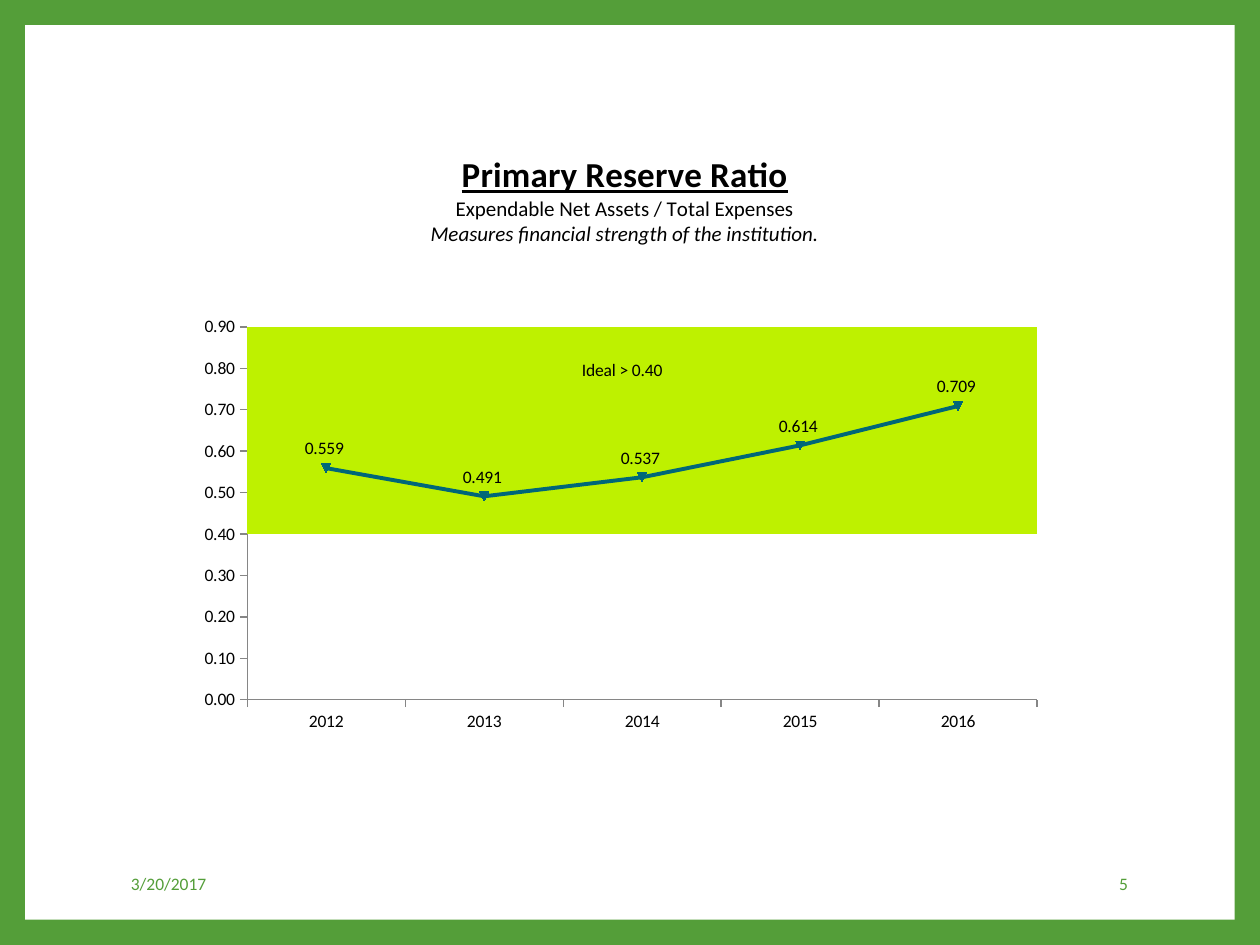
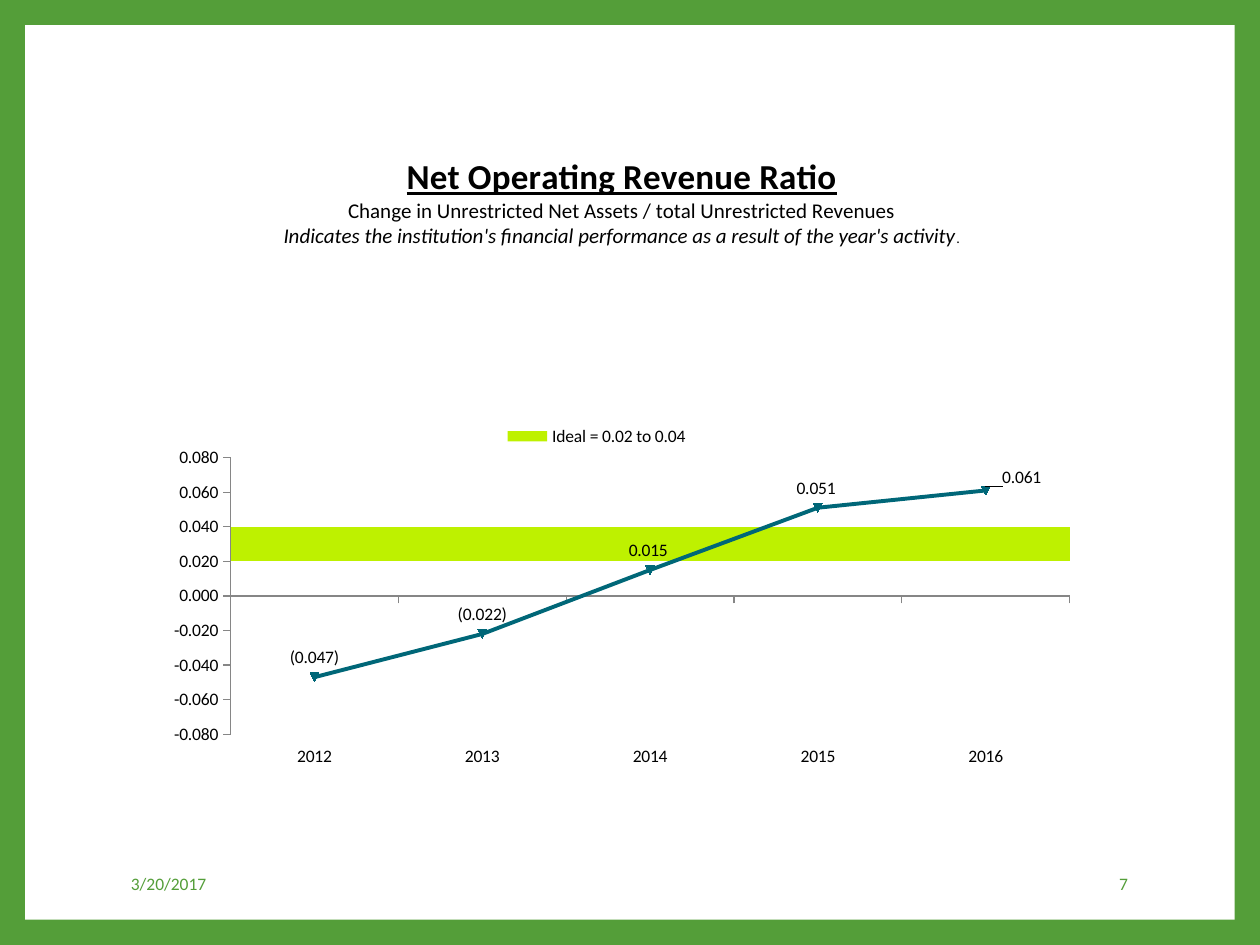
from dataclasses import dataclass

from pptx import Presentation
from pptx.chart.chart import Chart
from pptx.chart.data import CategoryChartData as Data
from pptx.dml.color import RGBColor as Rgb
from pptx.enum.chart import XL_CHART_TYPE as Kind
from pptx.enum.chart import XL_LABEL_POSITION as Spot
from pptx.enum.chart import XL_LEGEND_POSITION as Side
from pptx.enum.chart import XL_MARKER_STYLE as Mark
from pptx.enum.chart import XL_TICK_LABEL_POSITION as Tick
from pptx.enum.chart import XL_TICK_MARK as Dash
from pptx.enum.shapes import MSO_SHAPE as Preset
from pptx.enum.text import MSO_ANCHOR as Anchor
from pptx.enum.text import PP_ALIGN as Align
from pptx.oxml import parse_xml
from pptx.oxml.ns import nsdecls
from pptx.slide import Slide
from pptx.util import Inches, Pt

COLORS = {
    "green": "549E39",
    "white": "FFFFFF",
    "black": "000000",
    "band": "BEF100",
    "line": "006778",
    "axis": "868686",
}
FONT = "Calibri"
YEARS = ["2012", "2013", "2014", "2015", "2016"]
DATE = "3/20/2017"


@dataclass
class Ratio:
    """One ratio slide; title, legend and plot are shares of the chart."""
    page: int
    name: str
    basis: str
    aim: str
    end: str
    box: tuple
    values: list
    ideal: str
    floor: float
    depth: float
    scale: tuple
    axis_fmt: str
    title: tuple
    legend: tuple
    plot: tuple
    shift: tuple = ()


RATIOS = [
    Ratio(
        page=5,
        name="Primary Reserve Ratio",
        basis="Expendable Net Assets / Total Expenses",
        aim="Measures financial strength of the institution.",
        end="",
        box=(1.45, 0.92, 6.92, 5),
        values=[0.559, 0.491, 0.537, 0.614, 0.709],
        ideal="Ideal > 0.40", floor=0.4, depth=0.5,
        scale=(0, 0.9, 0.1), axis_fmt="0.00",
        title=(0.28, 0.05), legend=(0.4, 0.38),
        plot=(0.074, 0.335, 0.906, 0.592),
    ),
    Ratio(
        page=7,
        name="Net Operating Revenue Ratio",
        basis="Change in Unrestricted Net Assets / total Unrestricted Revenues",
        aim="Indicates the institution's financial performance "
            "as a result of the year's activity",
        end=".",
        box=(1.17, 0.92, 7.5, 5.33),
        values=[-0.047, -0.022, 0.015, 0.051, 0.061],
        ideal="Ideal = 0.02 to 0.04", floor=0.02, depth=0.02,
        scale=(-0.08, 0.08, 0.02), axis_fmt="0.000",
        title=(0.14, 0.05), legend=(0.375, 0.455),
        plot=(0.088, 0.509, 0.888, 0.412),
        shift=(0.04, 0.01),
    ),
]


def tint(key: str) -> Rgb:
    return Rgb.from_string(COLORS[key])


def write(para, text: str, size: float = 10, color: str = "black",
          align=None, bold: bool = False, italic: bool = False,
          under: bool = False) -> None:
    """Add a run to a paragraph."""
    run = para.add_run()
    run.text = text
    font = run.font
    font.name, font.size = FONT, Pt(size)
    font.bold, font.italic, font.underline = bold, italic, under
    font.color.rgb = tint(color)
    if align is not None:
        para.alignment = align


def frame(slide: Slide) -> None:
    """Green border around a white page."""
    back = slide.background.fill
    back.solid()
    back.fore_color.rgb = tint("green")
    page = slide.shapes.add_shape(
        Preset.RECTANGLE, Inches(0.2), Inches(0.2), Inches(9.6), Inches(7.1))
    page.shadow.inherit = False
    page.fill.solid()
    page.fill.fore_color.rgb = tint("white")
    page.line.fill.background()


def footer(slide: Slide, page: int) -> None:
    for left, width, text, align in (
            (0.94, 1.91, DATE, Align.LEFT),
            (7.65, 1.4, str(page), Align.RIGHT)):
        box = slide.shapes.add_textbox(
            Inches(left), Inches(6.81), Inches(width), Inches(0.4))
        body = box.text_frame
        body.word_wrap = True
        body.vertical_anchor = Anchor.MIDDLE
        write(body.paragraphs[0], text, color="green", align=align)


def place(node, index: int, spot: tuple, modes: tuple = ()) -> None:
    """Give a chart part a manual layout as its child at index."""
    for old in node.xpath("./c:layout"):
        node.remove(old)
    tags = [f'<c:{tag} val="{val}"/>' for tag, val in modes]
    tags += [f'<c:{tag} val="{val}"/>' for tag, val in zip("xywh", spot)]
    node.insert(index, parse_xml(
        f'<c:layout {nsdecls("c")}><c:manualLayout>{"".join(tags)}'
        '</c:manualLayout></c:layout>'))


def split(chart: Chart) -> None:
    """Move the last column series to a line plot on the same axes."""
    bars = chart.element.xpath(".//c:barChart")[0]
    ser = bars.xpath("./c:ser")[-1]
    for flag in ser.xpath("./c:invertIfNegative"):
        ser.remove(flag)
    axes = "".join(f'<c:axId val="{ax.get("val")}"/>'
                   for ax in bars.xpath("./c:axId"))
    lines = parse_xml(
        f'<c:lineChart {nsdecls("c")}><c:grouping val="standard"/>'
        f'<c:varyColors val="0"/><c:marker val="1"/>{axes}</c:lineChart>')
    lines.insert(2, ser)
    bars.addnext(lines)


def style_axes(chart: Chart, ratio: Ratio) -> None:
    value, years = chart.value_axis, chart.category_axis
    value.minimum_scale, value.maximum_scale, value.major_unit = ratio.scale
    value.tick_labels.number_format = ratio.axis_fmt
    value.tick_labels.number_format_is_linked = False
    years.tick_label_position = Tick.LOW
    for axis in (value, years):
        axis.has_major_gridlines = False
        axis.major_tick_mark = Dash.OUTSIDE
        axis.minor_tick_mark = Dash.NONE
        axis.format.line.color.rgb = tint("axis")
        axis.format.line.width = Pt(0.75)


def style_bars(chart: Chart) -> None:
    bars = chart.plots[0]
    bars.gap_width, bars.overlap = 0, 100
    bars.vary_by_categories = False
    floor, band = bars.series
    floor.format.fill.background()
    band.format.fill.solid()
    band.format.fill.fore_color.rgb = tint("band")
    for ser in (floor, band):
        ser.format.line.fill.background()


def style_line(chart: Chart, shift: tuple) -> None:
    line = chart.plots[1].series[0]
    line.smooth = False
    line.format.line.color.rgb = tint("line")
    line.format.line.width = Pt(2.25)
    mark = line.marker
    mark.style, mark.size = Mark.AUTOMATIC, 5
    mark.format.fill.solid()
    mark.format.fill.fore_color.rgb = tint("line")
    mark.format.line.color.rgb = tint("line")
    tags = line.data_labels
    tags.show_value = True
    tags.position = Spot.ABOVE
    tags.number_format = r"0.000_);\(0.000\)"
    tags.number_format_is_linked = False
    if shift:
        last = line.points[len(YEARS) - 1].data_label
        last.position = Spot.ABOVE
        last.font.size = Pt(10)
        place(chart.element.xpath(".//c:dLbl")[0], 1, shift)


def add_title(chart: Chart, ratio: Ratio) -> None:
    body = chart.chart_title.text_frame
    write(body.paragraphs[0], ratio.name, size=20, bold=True, under=True,
          align=Align.CENTER)
    write(body.add_paragraph(), ratio.basis, size=12, align=Align.CENTER)
    aim = body.add_paragraph()
    write(aim, ratio.aim, size=12, italic=True, align=Align.CENTER)
    if ratio.end:
        write(aim, ratio.end, size=8)


def add_legend(chart: Chart) -> None:
    """Show only the band in the legend."""
    chart.has_legend = True
    chart.legend.position = Side.TOP
    chart.legend.include_in_layout = False
    node = chart.element.xpath(".//c:legend")[0]
    for index, entry in enumerate((0, 2), start=1):
        node.insert(index, parse_xml(
            f'<c:legendEntry {nsdecls("c")}><c:idx val="{entry}"/>'
            '<c:delete val="1"/></c:legendEntry>'))


def add_ratio(slide: Slide, ratio: Ratio) -> None:
    data = Data()
    data.categories = YEARS
    data.add_series("Floor", [ratio.floor] * len(YEARS))
    data.add_series(ratio.ideal, [ratio.depth] * len(YEARS))
    data.add_series("Ratio", ratio.values)
    chart = slide.shapes.add_chart(
        Kind.COLUMN_STACKED, *map(Inches, ratio.box), data).chart
    chart.font.name, chart.font.size = FONT, Pt(10)
    chart.font.color.rgb = tint("black")
    split(chart)
    style_axes(chart, ratio)
    style_bars(chart)
    style_line(chart, ratio.shift)
    add_title(chart, ratio)
    add_legend(chart)
    edge = (("xMode", "edge"), ("yMode", "edge"))
    inner = (("layoutTarget", "inner"), *edge)
    for tag, index, spot, modes in (
            ("title", 1, ratio.title, edge),
            ("legend", 3, ratio.legend, edge),
            ("plotArea", 0, ratio.plot, inner)):
        place(chart.element.xpath(f"./c:chart/c:{tag}")[0], index, spot, modes)


def main() -> None:
    deck = Presentation()
    deck.slide_width, deck.slide_height = Inches(10), Inches(7.5)
    for ratio in RATIOS:
        slide = deck.slides.add_slide(deck.slide_layouts[6])
        frame(slide)
        add_ratio(slide, ratio)
        footer(slide, ratio.page)
    deck.save("out.pptx")


if __name__ == "__main__":
    main()
